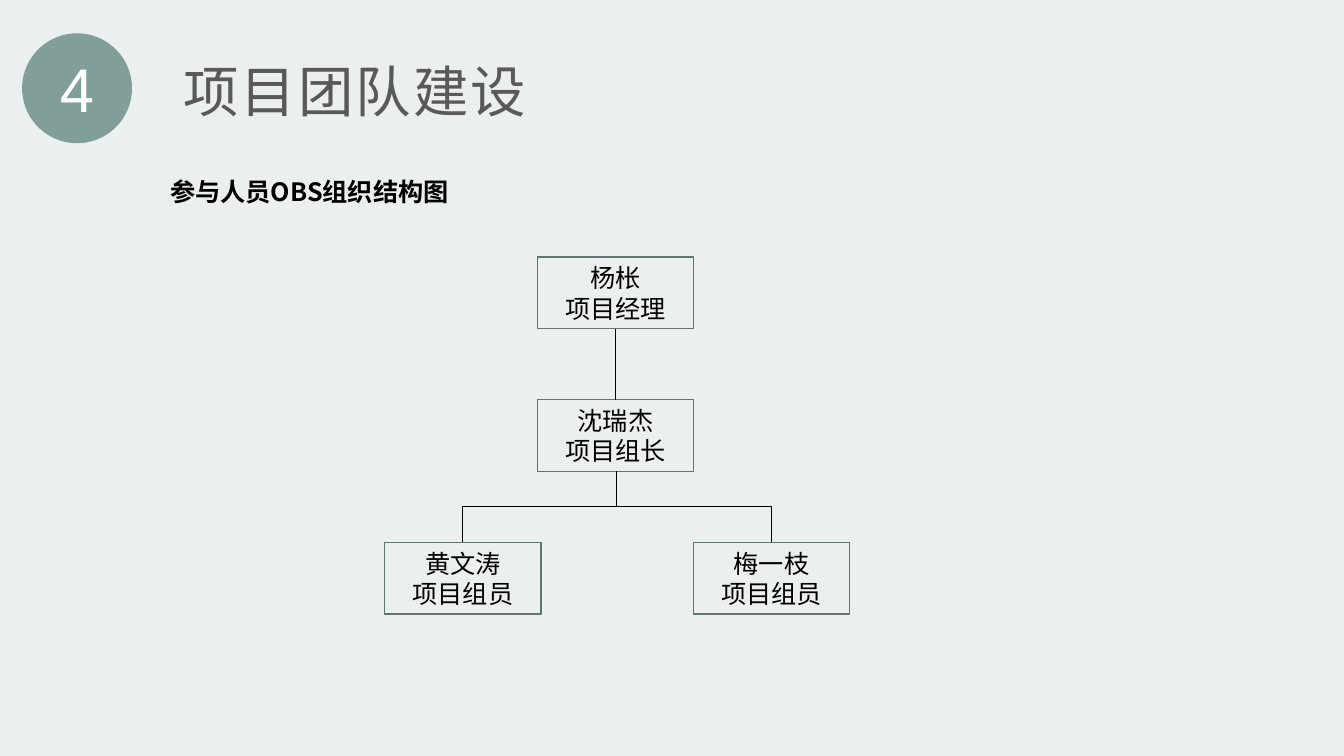
from lxml.etree import SubElement
from pptx import Presentation
from pptx.dml.color import RGBColor
from pptx.enum.shapes import MSO_CONNECTOR, MSO_SHAPE
from pptx.enum.text import MSO_ANCHOR, PP_ALIGN
from pptx.oxml.ns import qn
from pptx.util import Pt

BACKGROUND = RGBColor(0xEC, 0xEF, 0xEF)
SAGE = RGBColor(0x82, 0x9E, 0x9A)
BOX_LINE = RGBColor(0x60, 0x75, 0x72)
TITLE_GREY = RGBColor(0x59, 0x59, 0x59)
BLACK = RGBColor(0, 0, 0)
WHITE = RGBColor(0xFF, 0xFF, 0xFF)
LATIN_FONT = "Arial"
CHINESE_FONT = "Noto Sans CJK SC"

BOX_WIDTH, BOX_HEIGHT = 111.6, 51.1


def write(shape, lines, size, color, font=LATIN_FONT, bold=False, spacing=0,
          align=PP_ALIGN.CENTER, anchor=MSO_ANCHOR.MIDDLE, margins=(7.2, 3.6, 7.2, 3.6)):
    """Fill the shape with one paragraph per line; spacing is between letters, in points."""
    frame = shape.text_frame
    frame.word_wrap = True
    frame.vertical_anchor = anchor
    (frame.margin_left, frame.margin_top,
     frame.margin_right, frame.margin_bottom) = map(Pt, margins)
    frame.text = "\n".join(lines)
    for paragraph in frame.paragraphs:
        paragraph.alignment = align
        for run in paragraph.runs:
            run.font.size = Pt(size)
            run.font.bold = bold
            run.font.color.rgb = color
            run.font.name = font
            properties = run.font._element
            SubElement(properties, qn("a:ea")).set("typeface", CHINESE_FONT)
            if spacing:
                properties.set("spc", str(int(spacing * 100)))


def add_text(slide, left, top, width, height, text, size, color, **style):
    box = slide.shapes.add_textbox(Pt(left), Pt(top), Pt(width), Pt(height))
    write(box, [text], size, color, **style)
    return box


def add_header(slide, left, top):
    badge = slide.shapes.add_shape(MSO_SHAPE.OVAL, Pt(left), Pt(top), Pt(78.5), Pt(78.5))
    badge.shadow.inherit = False
    badge.fill.solid()
    badge.fill.fore_color.rgb = SAGE
    badge.line.fill.background()
    add_text(slide, left - 3.6, top + 2.9, 85.7, 72.7, "4", 44, WHITE,
             spacing=2, margins=(0, 0, 0, 0))
    add_text(slide, left + 98.7, top + 6.4, 277.9, 65.5, "项目团队建设", 39.6, TITLE_GREY,
             spacing=1.5, margins=(7.2, 3.6, 7.2, 0))


def add_subtitle(slide, left, top):
    box = add_text(slide, left, top, 237.6, 36, "参与人员OBS组织结构图", 18, BLACK,
                   font=CHINESE_FONT, bold=True, align=PP_ALIGN.LEFT, anchor=MSO_ANCHOR.TOP)
    box.text_frame.paragraphs[0].line_spacing = 1.5


def add_person(slide, center, top, name, role):
    box = slide.shapes.add_shape(MSO_SHAPE.RECTANGLE, Pt(center - BOX_WIDTH / 2), Pt(top),
                                 Pt(BOX_WIDTH), Pt(BOX_HEIGHT))
    box.shadow.inherit = False
    box.fill.background()
    box.line.color.rgb = BOX_LINE
    box.line.width = Pt(1)
    write(box, [name, role], 18, BLACK)


def add_line(slide, kind, *ends):
    line = slide.shapes.add_connector(kind, *map(Pt, ends))
    line.line.color.rgb = BLACK
    line.line.width = Pt(0.5)
    SubElement(line._element.spPr, qn("a:effectLst"))
    return line


def add_branch(slide, x1, y1, x2, y2):
    """Elbow that leaves and arrives vertically: a sideways one turned by 90 degrees."""
    middle_x, middle_y = (x1 + x2) / 2, (y1 + y2) / 2
    half_run, half_drop = (x2 - x1) / 2, (y2 - y1) / 2
    elbow = add_line(slide, MSO_CONNECTOR.ELBOW, middle_x - half_drop, middle_y + half_run,
                     middle_x + half_drop, middle_y - half_run)
    elbow._element.spPr.find(qn("a:xfrm")).set("rot", str(90 * 60000))


def add_organisation_chart(slide, center, top):
    level_step = 101.9
    leader_top, member_top = top + level_step, top + 2 * level_step
    add_person(slide, center, top, "杨枨", "项目经理")
    add_person(slide, center, leader_top, "沈瑞杰", "项目组长")
    add_line(slide, MSO_CONNECTOR.STRAIGHT, center, top + BOX_HEIGHT, center, leader_top)
    members = [("黄文涛", center - 109), ("梅一枝", center + 111.4)]
    for name, member_center in members:
        add_person(slide, member_center, member_top, name, "项目组员")
        add_branch(slide, center + 0.6, leader_top + BOX_HEIGHT, member_center, member_top)


def main():
    presentation = Presentation()
    presentation.slide_width, presentation.slide_height = Pt(960), Pt(540)
    slide = presentation.slides.add_slide(presentation.slide_layouts[6])
    slide.background.fill.solid()
    slide.background.fill.fore_color.rgb = BACKGROUND
    add_header(slide, left=15.8, top=23.8)
    add_subtitle(slide, left=114.5, top=111.6)
    add_organisation_chart(slide, center=439.6, top=183.6)
    presentation.save("out.pptx")


if __name__ == "__main__":
    main()
